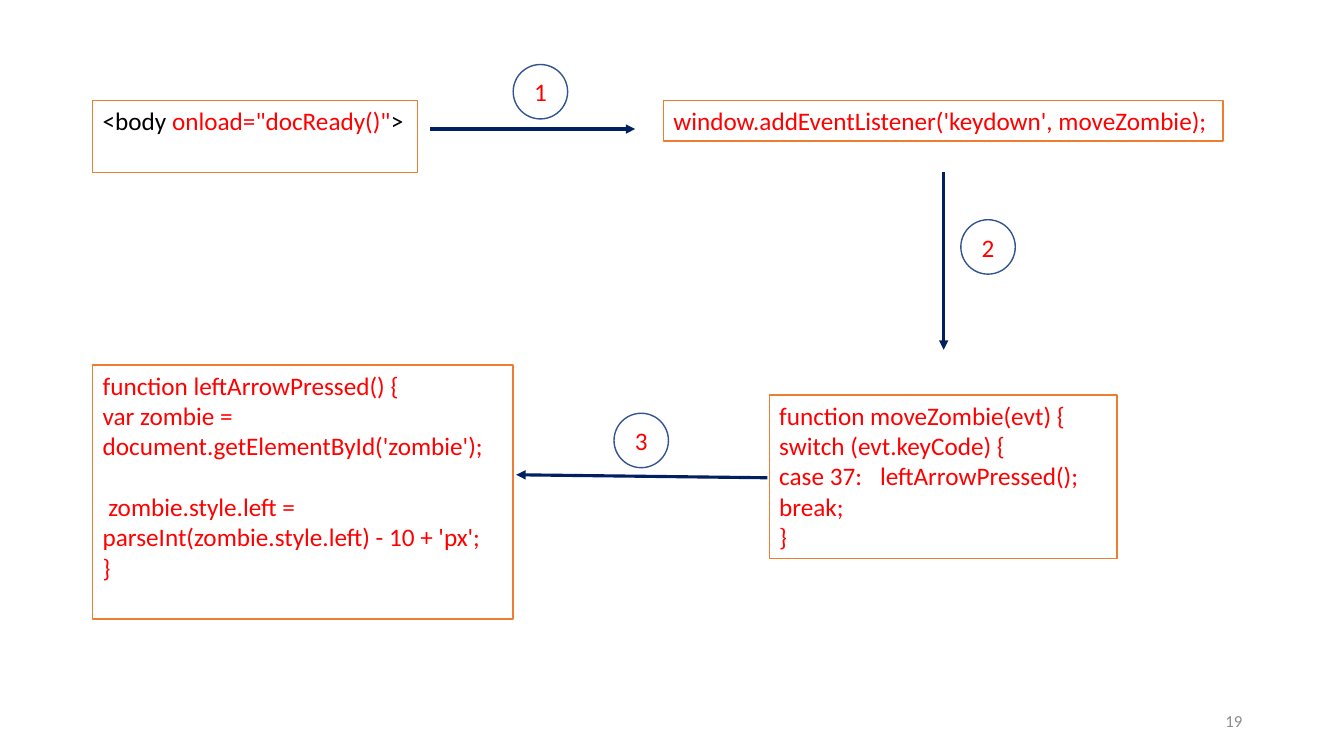
from dataclasses import dataclass

from lxml.etree import SubElement
from pptx import Presentation
from pptx.dml.color import RGBColor as RGB
from pptx.enum.shapes import MSO_CONNECTOR as CONNECTOR, MSO_SHAPE as SHAPE
from pptx.enum.text import MSO_ANCHOR as ANCHOR, PP_ALIGN as ALIGN
from pptx.oxml.ns import qn
from pptx.util import Pt

PX = 9144


@dataclass(frozen=True)
class Theme:
    font: str = "Calibri"
    code_size: int = 18
    number_size: int = 12
    white: RGB = RGB(0xFF, 0xFF, 0xFF)
    black: RGB = RGB(0, 0, 0)
    red: RGB = RGB(0xFF, 0, 0)
    orange: RGB = RGB(0xED, 0x7D, 0x31)
    navy: RGB = RGB(0, 0x20, 0x60)
    blue: RGB = RGB(0x32, 0x54, 0x91)
    gray: RGB = RGB(0x8C, 0x8C, 0x8C)


THEME = Theme()


def px(*lengths):
    return [length * PX for length in lengths]


def style(p, size, color=None, align=ALIGN.LEFT):
    p.alignment = align
    p.font.name = THEME.font
    p.font.size = Pt(size)
    if color is not None:
        p.font.color.rgb = color


def add_outline(s, preset, box, color):
    sp = s.shapes.add_shape(preset, *px(*box))
    sp.shadow.inherit = False
    sp.line.color.rgb = color
    sp.line.width = Pt(1)
    return sp


def add_code(s, box, lines, wrap=True):
    sp = add_outline(s, SHAPE.RECTANGLE, box, THEME.orange)
    sp.fill.solid()
    sp.fill.fore_color.rgb = THEME.white
    tf = sp.text_frame
    tf.word_wrap = wrap
    tf.vertical_anchor = ANCHOR.TOP
    for i, line in enumerate(lines):
        p = tf.add_paragraph() if i else tf.paragraphs[0]
        style(p, THEME.code_size)
        runs = [(line, THEME.red)] if isinstance(line, str) else line
        for text, color in runs:
            r = p.add_run()
            r.text = text
            r.font.color.rgb = color
    return tf


def add_arrow(s, x1, y1, x2, y2):
    line = s.shapes.add_connector(CONNECTOR.STRAIGHT, *px(x1, y1, x2, y2))
    line.line.color.rgb = THEME.navy
    line.line.width = Pt(2.25)
    SubElement(line.line._get_or_add_ln(), qn("a:tailEnd"), type="triangle")
    SubElement(line._element.spPr, qn("a:effectLst"))


def add_step(s, number, left, top):
    sp = add_outline(s, SHAPE.OVAL, (left, top, 54, 54), THEME.blue)
    sp.fill.background()
    tf = sp.text_frame
    tf.vertical_anchor = ANCHOR.MIDDLE
    p = tf.paragraphs[0]
    p.text = str(number)
    style(p, THEME.code_size, THEME.red, ALIGN.CENTER)


def add_page_number(s, number):
    tf = s.shapes.add_textbox(*px(942, 695, 300, 40)).text_frame
    tf.word_wrap = True
    tf.vertical_anchor = ANCHOR.MIDDLE
    p = tf.paragraphs[0]
    p.text = str(number)
    style(p, THEME.number_size, THEME.gray, ALIGN.RIGHT)


def main():
    prs = Presentation()
    prs.slide_width, prs.slide_height = px(1333, 750)
    s = prs.slides.add_slide(prs.slide_layouts[6])

    add_code(s, (92, 100, 322, 71), [[
        ("<body ", THEME.black),
        ('onload="docReady()"', THEME.red),
        (">", THEME.black),
    ]], wrap=False)
    add_code(s, (658, 100, 555, 40),
             ["window.addEventListener('keydown', moveZombie);"], wrap=False)
    add_code(s, (763, 392, 345, 162), [
        "function moveZombie(evt) {",
        "switch (evt.keyCode) {",
        "case 37:\tleftArrowPressed();",
        "break;",
        "}",
    ])
    tf = add_code(s, (92, 362, 417, 252), [
        "function leftArrowPressed() {",
        "var zombie = document.getElementById('zombie');",
        " zombie.style.left = parseInt(zombie.style.left) - 10 + 'px';",
        "}",
    ])
    tf.paragraphs[2].space_before = Pt(22)

    for ends in ((427, 128, 630, 128), (761, 474, 512, 471), (936, 171, 936, 347)):
        add_arrow(s, *ends)
    for number, corner in enumerate(((509, 64), (953, 218), (609, 410)), 1):
        add_step(s, number, *corner)
    add_page_number(s, 19)

    prs.save("out.pptx")


if __name__ == "__main__":
    main()
